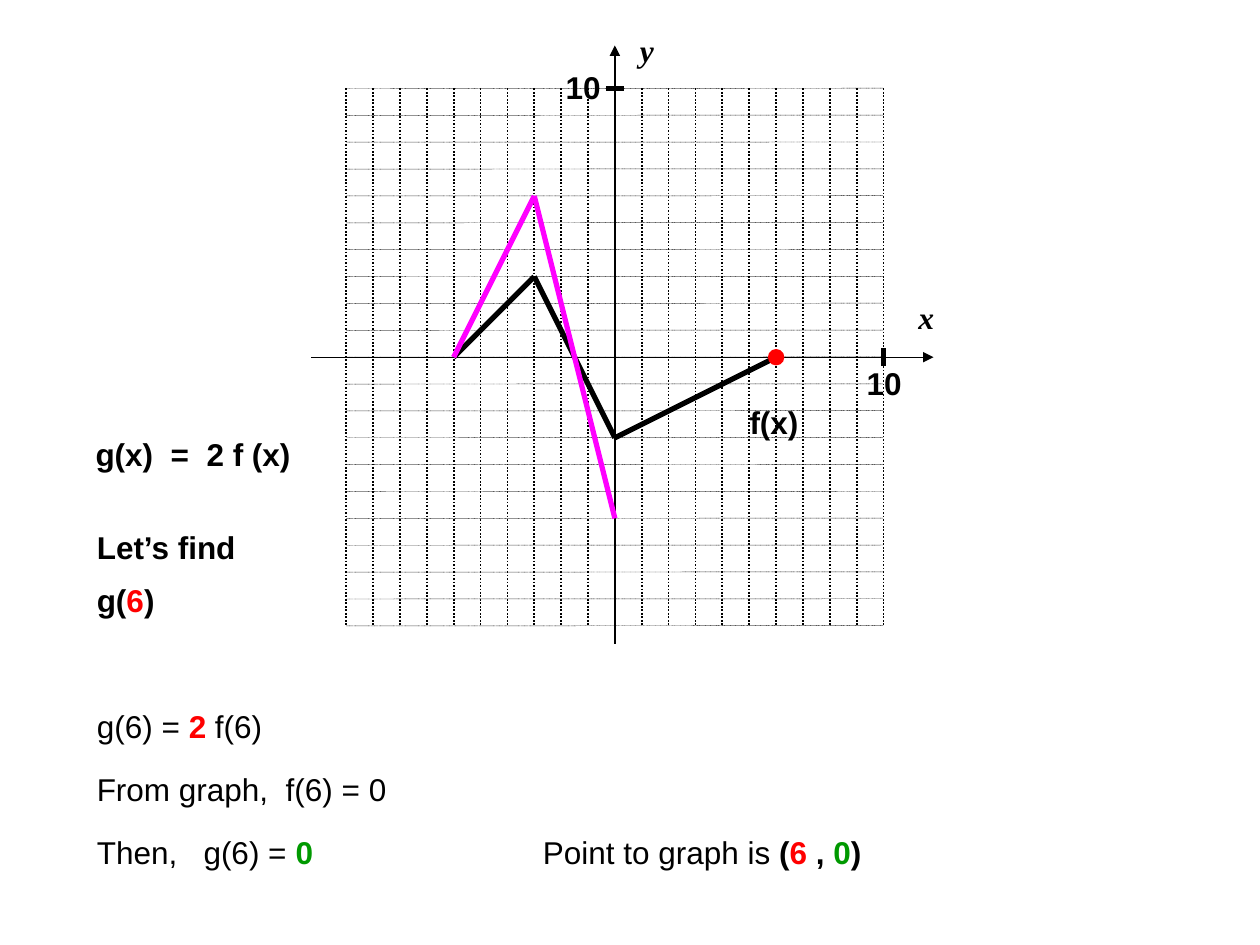
import pptx
import pptx.util
import pptx.dml.color
import pptx.enum.dml
import pptx.enum.shapes
import pptx.enum.text
import pptx.oxml.ns
from itertools import pairwise
from lxml import etree

Inches = pptx.util.Inches
Pt = pptx.util.Pt
RGBColor = pptx.dml.color.RGBColor
DOTS = pptx.enum.dml.MSO_LINE.ROUND_DOT

BLACK = RGBColor(0, 0, 0)
RED = RGBColor(255, 0, 0)
GREEN = RGBColor(0, 153, 0)
PINK = RGBColor(255, 0, 255)

ZERO_X, ZERO_Y = 4.88, 2.835
UNIT = 4.265 / 20
SPAN = 10
LEFT = 0.67
TICK = 0.33
TILT = 0.01  # keeps the hairline dots from merging into a solid line
F_DOTS = [(-6, 0), (-3, 3), (0, -3), (6, 0)]
G_DOTS = [(x, 2 * y) for x, y in F_DOTS[:3]]


def place(dot):
    """Turn graph units into slide lengths."""
    x, y = dot
    return Inches(ZERO_X + x * UNIT), Inches(ZERO_Y - y * UNIT)


def add_line(shapes, start, end, width, color=BLACK, dash=None, arrow=False):
    """Draw a line between two dots given in graph units."""
    line = shapes.add_connector(
        pptx.enum.shapes.MSO_CONNECTOR.STRAIGHT, *place(start), *place(end))
    line.line.color.rgb = color
    line.line.width = Pt(width)
    if dash:
        line.line.dash_style = dash
    qn = pptx.oxml.ns.qn
    if arrow:
        etree.SubElement(line.line._get_or_add_ln(), qn("a:tailEnd"), type="triangle")
    etree.SubElement(line._element.spPr, qn("a:effectLst"))


def add_curve(shapes, dots, color):
    for start, end in pairwise(dots):
        add_line(shapes, start, end, 3, color)


def add_grid(slide):
    cols = slide.shapes.add_group_shape().shapes
    rows = slide.shapes.add_group_shape().shapes
    for step in range(-SPAN, SPAN + 1):
        add_line(cols, (step, SPAN), (step, -SPAN), 1, dash=DOTS)
        add_line(rows, (-SPAN, step), (SPAN, step + TILT), 0.25, dash=DOTS)


def add_axes(shapes):
    add_line(shapes, (0, -10.66), (0, 11.6), 0.75, arrow=True)
    add_line(shapes, (-11.3, 0), (11.86, 0), 0.75, arrow=True)
    add_line(shapes, (SPAN, TICK), (SPAN, -TICK), 3)
    add_line(shapes, (-TICK, SPAN), (TICK, SPAN), 3)


def add_point(shapes, dot):
    x, y = place(dot)
    size = Inches(0.12)
    point = shapes.add_shape(
        pptx.enum.shapes.MSO_SHAPE.OVAL, x - size // 2, y - size // 2, size, size)
    point.shadow.inherit = False
    point.fill.solid()
    point.fill.fore_color.rgb = RED
    point.line.color.rgb = RED
    point.line.width = Pt(0.75)


def add_text(shapes, left, top, width, *runs, font="Arial", italic=False):
    """Add one line of text; each run is (words, color, bold)."""
    box = shapes.add_textbox(Inches(left), Inches(top), Inches(width), Inches(0.4))
    frame = box.text_frame
    frame.word_wrap = False
    frame.auto_size = pptx.enum.text.MSO_AUTO_SIZE.SHAPE_TO_FIT_TEXT
    para = frame.paragraphs[0]
    para.font.name = font
    para.font.size = Pt(18)
    para.font.italic = italic
    for words, color, bold in runs:
        run = para.add_run()
        run.text = words
        run.font.color.rgb = color
        run.font.bold = bold


def add_labels(shapes):
    for name, left, top in [("y", 4.98, 0.2), ("x", 7.19, 2.32)]:
        add_text(shapes, left, top, 0.32, (name, BLACK, True),
                 font="Times New Roman", italic=True)
    for words, left, top, width in [
            ("10", 6.78, 2.84, 0.48), ("10", 4.39, 0.49, 0.48),
            ("f(x)", 5.85, 3.15, 0.59)]:
        add_text(shapes, left, top, width, (words, BLACK, True))


def add_steps(shapes):
    add_text(shapes, 0.66, 3.4, 1.75, ("g(x)  =  2 f (x)", BLACK, True))
    add_text(shapes, LEFT, 4.14, 1.31, ("Let’s find", BLACK, True))
    add_text(shapes, LEFT, 4.56, 0.66,
             ("g(", BLACK, True), ("6", RED, True), (")", BLACK, True))
    add_text(shapes, LEFT, 5.56, 1.58,
             ("g(6) = ", BLACK, False), ("2", RED, True), (" f(6)", BLACK, False))
    add_text(shapes, LEFT, 6.06, 2.5, ("From graph,  f(6) = 0", BLACK, False))
    add_text(shapes, LEFT, 6.56, 1.95,
             ("Then,   g(6) = ", BLACK, False), ("0", GREEN, True))
    add_text(shapes, 4.21, 6.56, 2.75,
             ("Point to graph is ", BLACK, False), ("(", BLACK, True),
             ("6", RED, True), (" , ", BLACK, True),
             ("0", GREEN, True), (")", BLACK, True))


def main():
    deck = pptx.Presentation()
    deck.slide_width, deck.slide_height = Inches(10), Inches(7.5)
    slide = deck.slides.add_slide(deck.slide_layouts[6])
    shapes = slide.shapes
    add_curve(shapes.add_group_shape().shapes, F_DOTS, BLACK)
    add_grid(slide)
    add_axes(shapes)
    add_labels(shapes)
    add_point(shapes, F_DOTS[-1])
    add_curve(shapes, G_DOTS, PINK)
    add_steps(shapes)
    deck.save("out.pptx")


if __name__ == "__main__":
    main()
